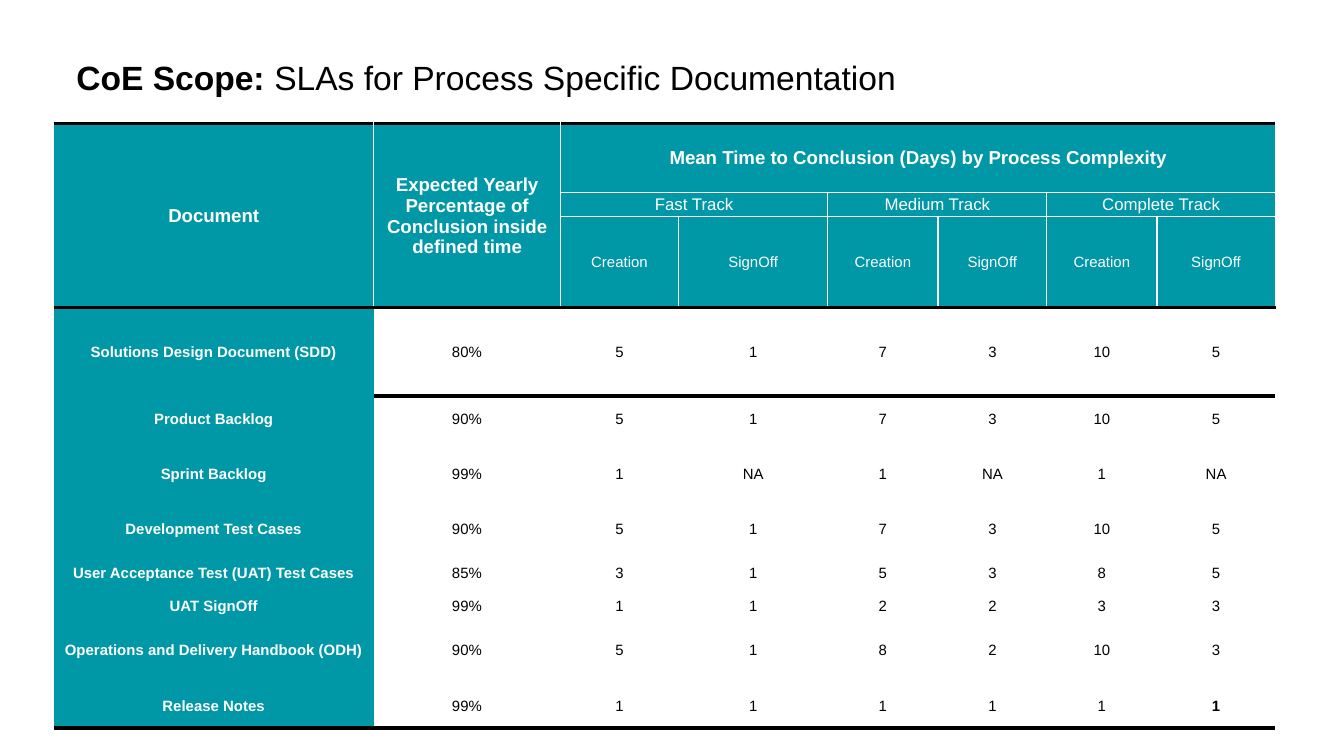
import dataclasses

import pptx
import pptx.dml.color
import pptx.enum.text
import pptx.oxml
import pptx.oxml.ns
import pptx.util

Inches = pptx.util.Inches
Pt = pptx.util.Pt
PP_ALIGN = pptx.enum.text.PP_ALIGN
MIDDLE = pptx.enum.text.MSO_ANCHOR.MIDDLE


@dataclasses.dataclass(frozen=True)
class Theme:
    font: str = "Arial"
    teal: str = "0097A7"
    white: str = "FFFFFF"
    black: str = "000000"
    title_size: float = 18
    heading_size: float = 10
    track_size: float = 9
    body_size: float = 8
    thin: float = 0.75
    edge: float = 2
    rule: float = 2.25
    plain_table: str = "{2D5ABB26-0587-4C30-8999-92F81FD0307C}"


THEME = Theme()

COLUMN_WIDTHS = [2.38, 1.39, 0.88, 1.11, 0.82, 0.81, 0.82, 0.88]
ROW_HEIGHTS = [0.51, 0.18, 0.31, 0.66, 0.33, 0.49, 0.33, 0.33, 0.16, 0.49, 0.34]
HEADER_ROWS = 3

# Headings: row, column, row span, column span, text, size, bold
HEADINGS = [
    (0, 0, 3, 1, "Document", THEME.heading_size, True),
    (0, 1, 3, 1, "Expected Yearly Percentage of Conclusion inside defined time",
     THEME.heading_size, True),
    (0, 2, 1, 6, "Mean Time to Conclusion (Days) by Process Complexity",
     THEME.heading_size, True),
]
for index, track in enumerate(["Fast Track", "Medium Track", "Complete Track"]):
    first = 2 + 2 * index
    HEADINGS += [
        (1, first, 1, 2, track, THEME.track_size, False),
        (2, first, 1, 1, "Creation", THEME.body_size, False),
        (2, first + 1, 1, 1, "SignOff", THEME.body_size, False),
    ]

DOCUMENTS = [
    ("Solutions Design Document (SDD)", "80%", "5", "1", "7", "3", "10", "5"),
    ("Product Backlog", "90%", "5", "1", "7", "3", "10", "5"),
    ("Sprint Backlog", "99%", "1", "NA", "1", "NA", "1", "NA"),
    ("Development Test Cases", "90%", "5", "1", "7", "3", "10", "5"),
    ("User Acceptance Test (UAT) Test Cases", "85%", "3", "1", "5", "3", "8", "5"),
    ("UAT SignOff", "99%", "1", "1", "2", "2", "3", "3"),
    ("Operations and Delivery Handbook (ODH)", "90%", "5", "1", "8", "2", "10", "3"),
    ("Release Notes", "99%", "1", "1", "1", "1", "1", "1"),
]


def add_text(paragraph, text, *, size, color=THEME.black, bold=False, align=PP_ALIGN.LEFT):
    paragraph.alignment = align
    run = paragraph.add_run()
    run.text = text
    run.font.name = THEME.font
    run.font.size = Pt(size)
    run.font.bold = bold
    run.font.color.rgb = pptx.dml.color.RGBColor.from_string(color)


class SlideBuilder:
    def __init__(self, slide, theme):
        self.slide = slide
        self.theme = theme

    def title(self, left, top, width, height, parts):
        box = self.slide.shapes.add_textbox(
            Inches(left), Inches(top), Inches(width), Inches(height))
        frame = box.text_frame
        frame.word_wrap = True
        frame.vertical_anchor = MIDDLE
        frame.margin_left = frame.margin_right = Inches(0.1)
        frame.margin_top = frame.margin_bottom = Inches(0.1)
        for text, bold in parts:
            add_text(frame.paragraphs[0], text, size=self.theme.title_size, bold=bold)

    def table(self, left, top, widths, heights):
        frame = self.slide.shapes.add_table(
            len(heights), len(widths), Inches(left), Inches(top),
            Inches(sum(widths)), Inches(sum(heights)))
        table = frame.table
        table.first_row = table.horz_banding = False
        style = frame._element.find(".//" + pptx.oxml.ns.qn("a:tableStyleId"))
        style.text = self.theme.plain_table
        for column, width in zip(table.columns, widths):
            column.width = Inches(width)
        for row, height in zip(table.rows, heights):
            row.height = Inches(height)
        # Merged cells need the same small margins, or their rows grow
        for cell in table.iter_cells():
            cell.margin_left = cell.margin_right = cell.margin_top = Inches(0.01)
            cell.margin_bottom = 0
            cell.vertical_anchor = MIDDLE
        return table

    def cell(self, cell, text, *, fill, borders, **text_format):
        """Borders maps L, R, T and B to a colour and a width in points."""
        properties = cell._tc.get_or_add_tcPr()
        for side in "LRTB":
            if side in borders:
                color, width = borders[side]
                properties.append(pptx.oxml.parse_xml(
                    f'<a:ln{side} {pptx.oxml.ns.nsdecls("a")} w="{Pt(width)}">'
                    f'<a:solidFill><a:srgbClr val="{color}"/></a:solidFill>'
                    f'</a:ln{side}>'))
        cell.fill.solid()
        cell.fill.fore_color.rgb = pptx.dml.color.RGBColor.from_string(fill)
        add_text(cell.text_frame.paragraphs[0], text, align=PP_ALIGN.CENTER, **text_format)

    def headings(self, table):
        theme = self.theme
        for row, column, row_span, column_span, text, size, bold in HEADINGS:
            cell = table.cell(row, column)
            if row_span * column_span > 1:
                cell.merge(table.cell(row + row_span - 1, column + column_span - 1))
            borders = dict.fromkeys("LRTB", (theme.white, theme.thin))
            if row == 0:
                borders["T"] = (theme.black, theme.edge)
            if row + row_span == HEADER_ROWS:
                borders["B"] = (theme.black, theme.rule if column else theme.edge)
            if column == 0:
                del borders["L"]
            self.cell(cell, text, fill=theme.teal, borders=borders,
                      size=size, color=theme.white, bold=bold)

    def documents(self, table):
        theme = self.theme
        last_row, last_column = len(DOCUMENTS) - 1, len(COLUMN_WIDTHS) - 1
        for row, values in enumerate(DOCUMENTS):
            for column, text in enumerate(values):
                is_name = column == 0
                borders = {}
                if row == 0 and not is_name:
                    borders["T"] = (theme.black, theme.rule)
                if row == last_row:
                    borders["B"] = (theme.black, theme.edge)
                self.cell(table.cell(HEADER_ROWS + row, column), text,
                          fill=theme.teal if is_name else theme.white,
                          borders=borders, size=theme.body_size,
                          color=theme.white if is_name else theme.black,
                          bold=is_name or (row, column) == (last_row, last_column))


def main():
    presentation = pptx.Presentation()
    presentation.slide_width = Inches(10)
    presentation.slide_height = Inches(10) * 9 // 16
    slide = presentation.slides.add_slide(presentation.slide_layouts[6])
    builder = SlideBuilder(slide, THEME)

    # Title
    builder.title(0.47, 0.32, 9.03, 0.5, [
        ("CoE Scope: ", True), ("SLAs for Process Specific Documentation", False)])

    # Service level table
    table = builder.table(0.4, 0.92, COLUMN_WIDTHS, ROW_HEIGHTS)
    builder.headings(table)
    builder.documents(table)

    presentation.save("out.pptx")


if __name__ == "__main__":
    main()
